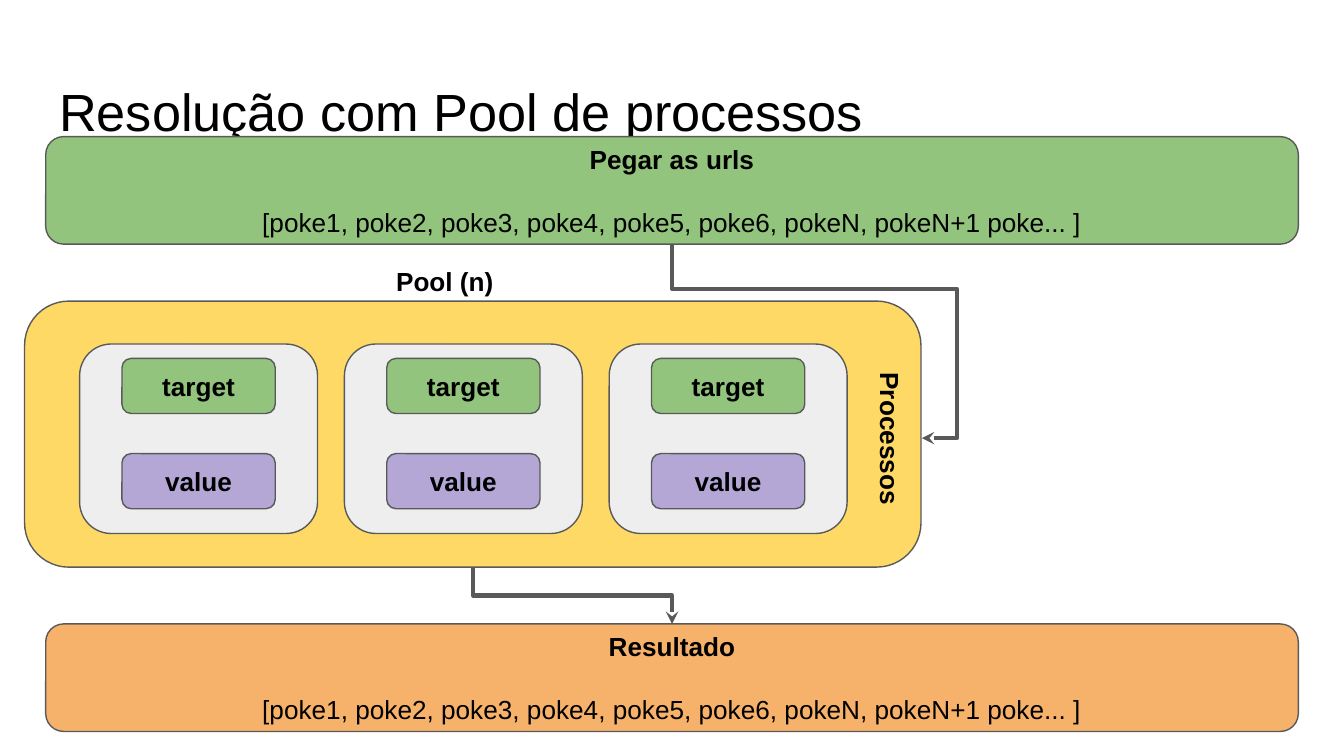
"""Build a slide that explains a process pool mapping urls to results."""
from pptx import Presentation
from pptx.dml.color import RGBColor
from pptx.enum.shapes import MSO_CONNECTOR as Link, MSO_SHAPE as Shape
from pptx.enum.text import MSO_ANCHOR as Anchor, MSO_AUTO_SIZE as Fit, PP_ALIGN as Align
from pptx.oxml.ns import qn
from pptx.util import Inches, Pt
from lxml.etree import SubElement

BLACK = RGBColor(0x00, 0x00, 0x00)
GREY = RGBColor(0x59, 0x59, 0x59)
YELLOW = RGBColor(0xFF, 0xD9, 0x66)
SILVER = RGBColor(0xEE, 0xEE, 0xEE)
GREEN = RGBColor(0x93, 0xC4, 0x7D)
PURPLE = RGBColor(0xB4, 0xA7, 0xD6)
ORANGE = RGBColor(0xF6, 0xB2, 0x6B)
URLS = "[poke1, poke2, poke3, poke4, poke5, poke6, pokeN, pokeN+1 poke... ]"


class PoolSlide:
    """Holds the style and the slide, measured on a square grid of 100 columns."""

    font_name = "Arial"
    body_size = Pt(14)
    title_size = Pt(28)
    line_gap = Pt(17)
    inset = 1

    def __init__(self, deck):
        self.cell = deck.slide_width / 100
        self.slide = deck.slides.add_slide(deck.slide_layouts[5])

    def grid(self, *cells):
        return [round(cell * self.cell) for cell in cells]

    def style(self, paragraph, size, bold=False, align=Align.CENTER):
        paragraph.alignment = align
        font = paragraph.font
        font.name, font.size, font.bold = self.font_name, size, bold
        font.color.rgb = BLACK

    def frame(self, holder, anchor):
        frame = holder.text_frame
        frame.word_wrap = True
        frame.auto_size = Fit.NONE
        frame.vertical_anchor = anchor
        inset, = self.grid(self.inset)
        frame.margin_left = frame.margin_right = inset
        frame.margin_top = frame.margin_bottom = inset
        return frame

    def title(self, text, left, top, width, height):
        title = self.slide.shapes.title
        title.left, title.top, title.width, title.height = self.grid(left, top, width, height)
        frame = self.frame(title, Anchor.TOP)
        frame.text = text
        self.style(frame.paragraphs[0], self.title_size, align=Align.LEFT)

    def label(self, text, left, top, width, height, anchor=Anchor.TOP, rotation=0):
        label = self.slide.shapes.add_textbox(*self.grid(left, top, width, height))
        label.rotation = rotation
        frame = self.frame(label, anchor)
        frame.text = text
        self.style(frame.paragraphs[0], self.body_size, bold=True)

    def box(self, fill, left, top, width, height, heading="", detail=""):
        box = self.slide.shapes.add_shape(
            Shape.ROUNDED_RECTANGLE, *self.grid(left, top, width, height))
        box.shadow.inherit = False
        box.fill.solid()
        box.fill.fore_color.rgb = fill
        box.line.color.rgb = GREY
        box.line.width = Pt(0.75)
        if heading:
            frame = self.frame(box, Anchor.MIDDLE)
            frame.text = heading
            self.style(frame.paragraphs[0], self.body_size, bold=True)
            if detail:
                second = frame.add_paragraph()
                second.text = detail
                second.space_before = self.line_gap
                self.style(second, self.body_size)

    def elbow(self, start, end, preset, bends):
        """Draw an arrow that leaves downwards, as a flipped elbow turned by 270 degrees."""
        (x1, y1), (x2, y2) = start, end
        length, spread = y2 - y1, x2 - x1
        left, top = (x1 + x2 - length) / 2, (y1 + y2 - spread) / 2
        arrow = self.slide.shapes.add_connector(
            Link.ELBOW, *self.grid(left + length, top, left, top + spread))
        arrow.line.color.rgb = GREY
        arrow.line.width = Pt(2.25)
        properties = arrow._element.spPr
        properties.find(qn("a:xfrm")).set("rot", str(270 * 60000))
        geometry = properties.find(qn("a:prstGeom"))
        geometry.set("prst", preset)
        guides = geometry.find(qn("a:avLst"))
        for number, share in enumerate(bends, 1):
            SubElement(guides, qn("a:gd"), name=f"adj{number}",
                       fmla=f"val {round(share * 100000)}")
        SubElement(properties.find(qn("a:ln")), qn("a:tailEnd"), type="stealth")
        SubElement(properties, qn("a:effectLst"))


def main():
    deck = Presentation()
    deck.slide_width = Inches(10)
    deck.slide_height = deck.slide_width * 9 // 16
    page = PoolSlide(deck)

    page.title("Resolução com Pool de processos", 3.4, 4.9, 93.2, 6.3)
    page.box(YELLOW, 1.83, 22.4, 66.7, 19.8)
    page.label("Pool (n)", -5.1, 18.75, 76.4, 4.9)
    for process in range(3):
        left = 5.93 + 19.7 * process
        page.box(SILVER, left, 25.6, 17.7, 14.1)
        page.box(GREEN, left + 3.15, 26.67, 11.4, 4.1, "target")
        page.box(PURPLE, left + 3.15, 33.75, 11.4, 4.1, "value")
    page.label("Processos", 58.4, 30.3, 15.7, 4.7, Anchor.MIDDLE, rotation=90)

    page.box(GREEN, 3.4, 10.17, 93.2, 8, "Pegar as urls", URLS)
    page.elbow((50, 18.17), (68.6, 32.6), "bentConnector4", (0.23, 1.14))
    page.box(ORANGE, 3.4, 46.43, 93.2, 8, "Resultado", URLS)
    page.elbow((35.2, 42.2), (50, 46.43), "bentConnector3", (0.5,))

    deck.save("out.pptx")


if __name__ == "__main__":
    main()
